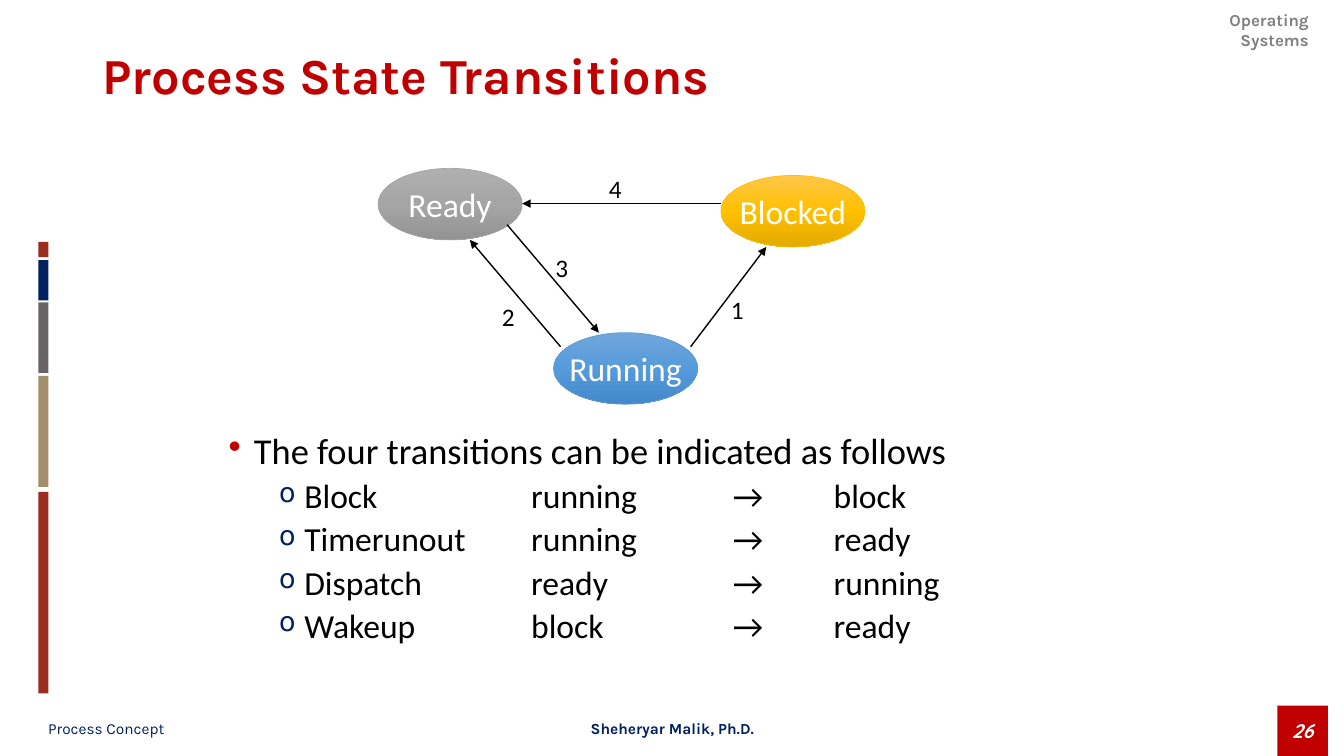
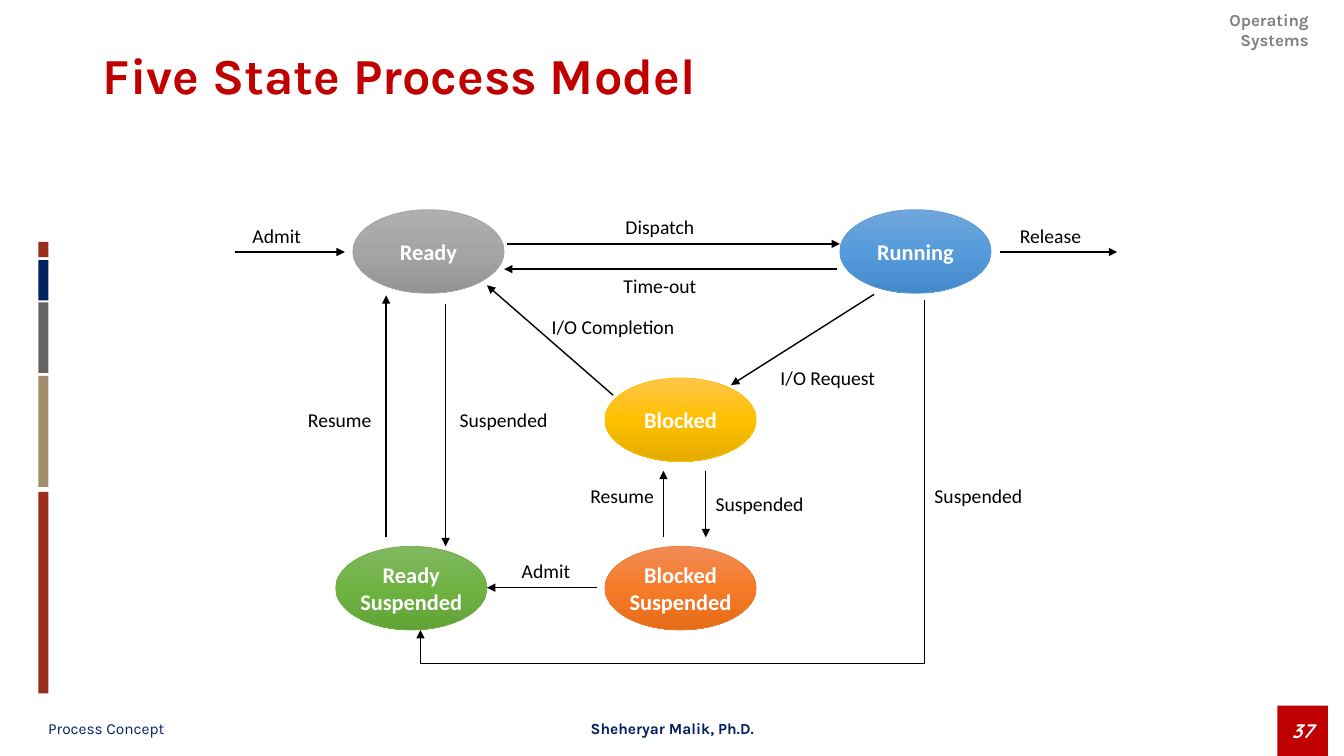
from copy import deepcopy

from lxml.etree import SubElement
from pptx import Presentation
from pptx.dml.color import RGBColor
from pptx.enum.shapes import MSO_CONNECTOR, MSO_SHAPE
from pptx.enum.text import MSO_ANCHOR as ANCHOR, PP_ALIGN as ALIGN
from pptx.oxml.ns import qn
from pptx.util import Emu, Pt

PX = 9144  # 100 px to the inch
COLORS = {
    "red": "C00000", "navy": "002060", "rust": "9B2D1F", "sand": "A28E6A",
    "slate": "696464", "gray": "808080", "black": "000000", "white": "FFFFFF",
}
# Outline, then the gradient from top to bottom
STATE_COLORS = {
    "Ready": ("A5A5A5", "AFAFAF", "A5A5A5", "939393"),
    "Running": ("5B9BD5", "71A6DB", "559BDB", "448ACA"),
    "Blocked": ("FFC000", "FFC64B", "FFC000", "E3AB00"),
    "Ready\nSuspended": ("70AD47", "81B861", "6FB242", "62A336"),
    "Blocked\nSuspended": ("ED7D31", "F18C57", "F67B28", "E56C19"),
}
STRIPES = [  # top, height, colour
    (240, 15, "rust"), (258, 40, "navy"), (300, 70, "slate"),
    (373, 110, "sand"), (488, 200, "rust"),
]
TRANSITIONS_HEADING = "The four transitions can be indicated as follows"
TRANSITIONS = [
    "Block\t\trunning\t→\tblock",
    "Timerunout\trunning\t→\tready",
    "Dispatch\t\tready\t\t→\trunning",
    "Wakeup\t\tblock\t\t→\tready",
]
# States: name, left, top. Arrows and lines: x1, y1, x2, y2.
# Labels: text, left, top, width, alignment.
DIAGRAMS = [
    {
        "title": "Process State Transitions", "number": "26",
        "state_size": (143, 71), "state_font": 24, "state_bold": False,
        "label_font": 18, "label_height": 40,
        "states": [("Ready", 375, 167), ("Running", 549, 330),
                   ("Blocked", 715, 174)],
        "arrows": [(556, 344, 466, 238), (503, 223, 594, 330),
                   (715, 202, 518, 202), (685, 344, 760, 245)],
        "lines": [],
        "labels": [("2", 488, 294, 38, ALIGN.LEFT),
                   ("1", 715, 287, 76, ALIGN.LEFT),
                   ("3", 541, 245, 30, ALIGN.LEFT),
                   ("4", 594, 167, 76, ALIGN.LEFT)],
    },
    {
        "title": "Five State Process Model", "number": "37",
        "state_size": (150, 83), "state_font": 16, "state_bold": True,
        "label_font": 14, "label_height": 33,
        "states": [("Ready", 350, 208), ("Running", 833, 208),
                   ("Blocked", 600, 375), ("Ready\nSuspended", 333, 542),
                   ("Blocked\nSuspended", 600, 542)],
        "arrows": [(867, 292, 725, 382), (233, 250, 342, 250),
                   (503, 242, 833, 242), (830, 267, 500, 267),
                   (608, 392, 483, 283), (658, 533, 658, 467),
                   (442, 302, 442, 542), (383, 533, 383, 293),
                   (700, 467, 700, 533), (992, 250, 1108, 250),
                   (417, 658, 417, 625), (592, 583, 483, 583)],
        "lines": [(417, 658, 917, 658), (917, 298, 917, 658)],
        "labels": [("Admit", 233, 217, 83, ALIGN.CENTER),
                   ("I/O Completion", 533, 308, 150, ALIGN.CENTER),
                   ("Suspended", 917, 475, 133, ALIGN.LEFT),
                   ("I/O Request", 750, 358, 142, ALIGN.CENTER),
                   ("Release", 992, 217, 100, ALIGN.CENTER),
                   ("Time-out", 592, 267, 125, ALIGN.CENTER),
                   ("Dispatch", 592, 208, 125, ALIGN.CENTER),
                   ("Suspended", 700, 483, 133, ALIGN.LEFT),
                   ("Resume", 567, 475, 100, ALIGN.CENTER),
                   ("Admit", 500, 550, 83, ALIGN.CENTER),
                   ("Resume", 283, 400, 108, ALIGN.CENTER),
                   ("Suspended", 433, 400, 133, ALIGN.CENTER)],
    },
]


def px(*lengths):
    return [Emu(length * PX) for length in lengths]


def rgb(color):
    return RGBColor.from_string(COLORS.get(color, color))


def write(paragraph, text, size, color, font="Calibri", bold=False,
          italic=False, align=ALIGN.LEFT):
    paragraph.alignment = align
    run = paragraph.add_run()
    run.text = text
    run.font.name, run.font.size = font, Pt(size)
    run.font.bold, run.font.italic = bold, italic
    run.font.color.rgb = rgb(color)


def add_text(slide, box, text, size, color, anchor=ANCHOR.TOP, **style):
    frame = slide.shapes.add_textbox(*px(*box)).text_frame
    frame.word_wrap = True
    frame.vertical_anchor = anchor
    write(frame.paragraphs[0], text, size, color, **style)
    return frame


def add_block(slide, box, color):
    block = slide.shapes.add_shape(MSO_SHAPE.RECTANGLE, *px(*box))
    block.shadow.inherit = False
    block.fill.solid()
    block.fill.fore_color.rgb = rgb(color)
    block.line.fill.background()
    return block


def add_frame(slide, title, number):
    """Add the title, stripes, header and footer that every slide shares."""
    add_text(slide, (1155, 5, 153, 30), "Operating Systems", 12, "gray",
             font="Karla", bold=True, align=ALIGN.RIGHT)
    badge = add_block(slide, (1267, 700, 50, 50), "red").text_frame
    badge.vertical_anchor = ANCHOR.MIDDLE
    write(badge.paragraphs[0], number, 14, "white", "Quicksand", True, True,
          ALIGN.CENTER)
    add_text(slide, (38, 706, 440, 33), "Process Concept", 11, "navy",
             ANCHOR.MIDDLE, font="Karla")
    add_text(slide, (447, 706, 440, 33), "Sheheryar Malik, Ph.D.", 11, "navy",
             ANCHOR.MIDDLE, font="Karla", bold=True, align=ALIGN.CENTER)
    for top, height, color in STRIPES:
        add_block(slide, (38, top, 10, height), color)
    heading = add_text(slide, (92, 5, 1150, 145), title, 36, "red",
                       ANCHOR.MIDDLE, font="Karla", bold=True)
    heading.paragraphs[0].line_spacing = 0.9


def add_state(slide, name, box, size, bold):
    outline, *gradient = STATE_COLORS[name]
    state = slide.shapes.add_shape(MSO_SHAPE.OVAL, *px(*box))
    state.shadow.inherit = False
    state.line.color.rgb = rgb(outline)
    state.line.width = Pt(0.5)
    state.fill.gradient()
    state.fill.gradient_angle = 270
    stops = state.element.spPr.find(".//" + qn("a:gsLst"))
    stops.append(deepcopy(stops[-1]))
    for stop, position, color in zip(state.fill.gradient_stops, (0, 0.5, 1), gradient):
        stop.position = position
        stop.color.rgb = rgb(color)
    frame = state.text_frame
    frame.word_wrap = False
    frame.vertical_anchor = ANCHOR.MIDDLE
    for index, word in enumerate(name.split("\n")):
        paragraph = frame.add_paragraph() if index else frame.paragraphs[0]
        write(paragraph, word, size, "white", bold=bold, align=ALIGN.CENTER)


def add_line(slide, ends, arrow):
    line = slide.shapes.add_connector(MSO_CONNECTOR.STRAIGHT, *px(*ends))
    line.line.color.rgb = rgb("black")
    line.line.width = Pt(1)
    if arrow:
        SubElement(line.line._get_or_add_ln(), qn("a:tailEnd"), type="triangle")
    SubElement(line.element.spPr, qn("a:effectLst"))


def add_diagram(slide, diagram):
    for name, left, top in diagram["states"]:
        add_state(slide, name, (left, top, *diagram["state_size"]),
                  diagram["state_font"], diagram["state_bold"])
    for kind in ("arrows", "lines"):
        for ends in diagram[kind]:
            add_line(slide, ends, kind == "arrows")
    for text, left, top, width, align in diagram["labels"]:
        add_text(slide, (left, top, width, diagram["label_height"]), text,
                 diagram["label_font"], "black", align=align)


def set_bullet(paragraph, symbol, color, indent, percent=100):
    """Hang a bullet 25 px before the indent, with a tab stop every inch."""
    props = paragraph._p.get_or_add_pPr()
    for key, value in (("marL", indent * PX), ("indent", -25 * PX),
                       ("defTabSz", 100 * PX)):
        props.set(key, str(value))
    bullet_color = SubElement(props, qn("a:buClr"))
    SubElement(bullet_color, qn("a:srgbClr"), val=COLORS[color])
    SubElement(props, qn("a:buSzPct"), val=str(percent * 1000))
    SubElement(props, qn("a:buChar"), char=symbol)
    paragraph.line_spacing = 0.9


def add_transitions(slide):
    frame = add_text(slide, (217, 425, 900, 245), TRANSITIONS_HEADING, 26, "black")
    set_bullet(frame.paragraphs[0], "•", "red", 25)
    for transition in TRANSITIONS:
        paragraph = frame.add_paragraph()
        paragraph.level = 1
        set_bullet(paragraph, "o", "navy", 75, 80)
        paragraph.space_before = Pt(5)
        write(paragraph, transition, 24, "black")


def main():
    deck = Presentation()
    deck.slide_width, deck.slide_height = px(1333, 750)
    slides = []
    for diagram in DIAGRAMS:
        slide = deck.slides.add_slide(deck.slide_layouts[6])
        add_frame(slide, diagram["title"], diagram["number"])
        add_diagram(slide, diagram)
        slides.append(slide)
    add_transitions(slides[0])
    deck.save("out.pptx")


if __name__ == "__main__":
    main()
